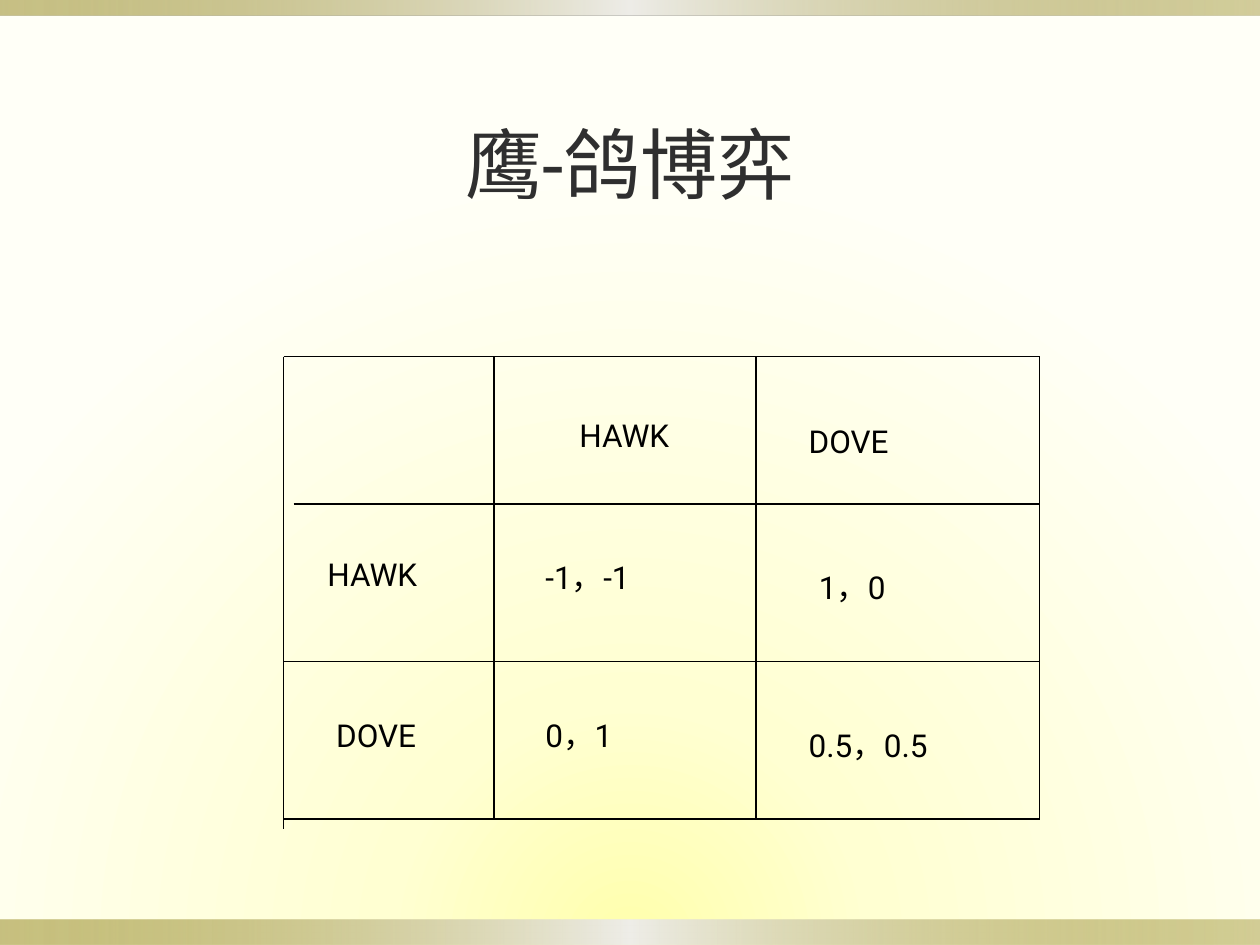
from lxml.etree import SubElement
from pptx import Presentation
from pptx.dml.color import RGBColor
from pptx.enum.shapes import MSO_CONNECTOR as Connector, MSO_SHAPE as Shape
from pptx.enum.text import MSO_ANCHOR as Anchor, MSO_AUTO_SIZE as AutoSize, PP_ALIGN as Align
from pptx.oxml.ns import qn
from pptx.util import Inches, Pt


def color(code):
    return RGBColor.from_string(code)


class GamePage:
    font = "Roboto"
    ink = "000000"
    title_ink = "2F2F2F"

    def __init__(self, deck):
        self.page = deck.slides.add_slide(deck.slide_layouts[5])

    def gradient(self, fill, owner, stops, circle=False):
        """Fill owner with (position, color, opacity) stops, in percent."""
        fill.gradient()
        grad = next(owner.iter(qn("a:gradFill")))
        for child in list(grad):
            grad.remove(child)
        stop_list = SubElement(grad, qn("a:gsLst"))
        for position, code, opacity in stops:
            stop = SubElement(stop_list, qn("a:gs"), pos=str(position * 1000))
            shade = SubElement(stop, qn("a:srgbClr"), val=code)
            if opacity < 100:
                SubElement(shade, qn("a:alpha"), val=str(opacity * 1000))
        if circle:
            glow = SubElement(grad, qn("a:path"), path="circle")
            SubElement(glow, qn("a:fillToRect"), l="50000", t="150000", r="50000", b="0")
        else:
            SubElement(grad, qn("a:lin"), ang="0", scaled="0")

    def background(self, stops):
        self.gradient(self.page.background.fill, self.page.element, stops, circle=True)

    def bar(self, top, height, stops):
        bar = self.page.shapes.add_shape(
            Shape.RECTANGLE, 0, Inches(top), Inches(10), Inches(height))
        bar.shadow.inherit = False
        bar.line.fill.background()
        self.gradient(bar.fill, bar.element, stops)

    def span(self, para, text, size, code):
        span = para.add_run()
        span.text = text
        span.font.name = self.font
        span.font.size = Pt(size)
        span.font.color.rgb = color(code)

    def title(self, text):
        box = self.page.shapes.title
        box.left, box.top = Inches(0.75), Inches(0.67)
        box.width, box.height = Inches(8.5), Inches(1.25)
        box.text_frame.vertical_anchor = Anchor.MIDDLE
        para = box.text_frame.paragraphs[0]
        para.alignment = Align.CENTER
        self.span(para, text, 44, self.title_ink)

    def line(self, x1, y1, x2, y2):
        rule = self.page.shapes.add_connector(
            Connector.STRAIGHT, Inches(x1), Inches(y1), Inches(x2), Inches(y2))
        rule.line.color.rgb = color(self.ink)
        rule.line.width = Pt(0.75)
        SubElement(rule.element.spPr, qn("a:effectLst"))

    def label(self, left, top, width, text):
        box = self.page.shapes.add_textbox(
            Inches(left), Inches(top), Inches(width), Inches(0.5))
        box.text_frame.word_wrap = False
        box.text_frame.auto_size = AutoSize.SHAPE_TO_FIT_TEXT
        self.span(box.text_frame.paragraphs[0], text, 18, self.ink)


def main():
    deck = Presentation()
    deck.slide_width, deck.slide_height = Inches(10), Inches(7.5)
    game = GamePage(deck)

    # Background glow and the two edge bars
    game.background([(0, "FFFFAC", 100), (31, "FFFFD2", 100), (100, "FFFFF7", 100)])
    gold = [(0, "918415", 50), (50, "EEEDE8", 100), (100, "918415", 40)]
    for top, height in ((7.3, 0.2), (0, 0.12)):
        game.bar(top, height, gold)

    game.title("鹰-鸽博弈")

    # Payoff grid: the second rule starts late, the left rule runs past the bottom
    left, right, top, bottom = 2.25, 8.25, 2.83, 6.5
    for y, start in ((top, left), (4, 2.33), (5.25, left), (bottom, left)):
        game.line(start, y, right, y)
    for x, end in ((left, 6.58), (3.92, bottom), (6, bottom), (right, bottom)):
        game.line(x, top, x, end)

    # Strategies and payoffs
    for label in (
        (4.5, 3.25, 1.24, "HAWK"),
        (6.32, 3.3, 1.13, "DOVE"),
        (2.5, 4.36, 1.24, "HAWK"),
        (2.57, 5.63, 1.13, "DOVE"),
        (4.23, 4.38, 1.09, "-1，-1"),
        (6.4, 4.46, 0.87, "1，0"),
        (4.23, 5.63, 0.87, "0，1"),
        (6.32, 5.71, 1.37, "0.5，0.5"),
    ):
        game.label(*label)

    deck.save("out.pptx")


if __name__ == "__main__":
    main()
